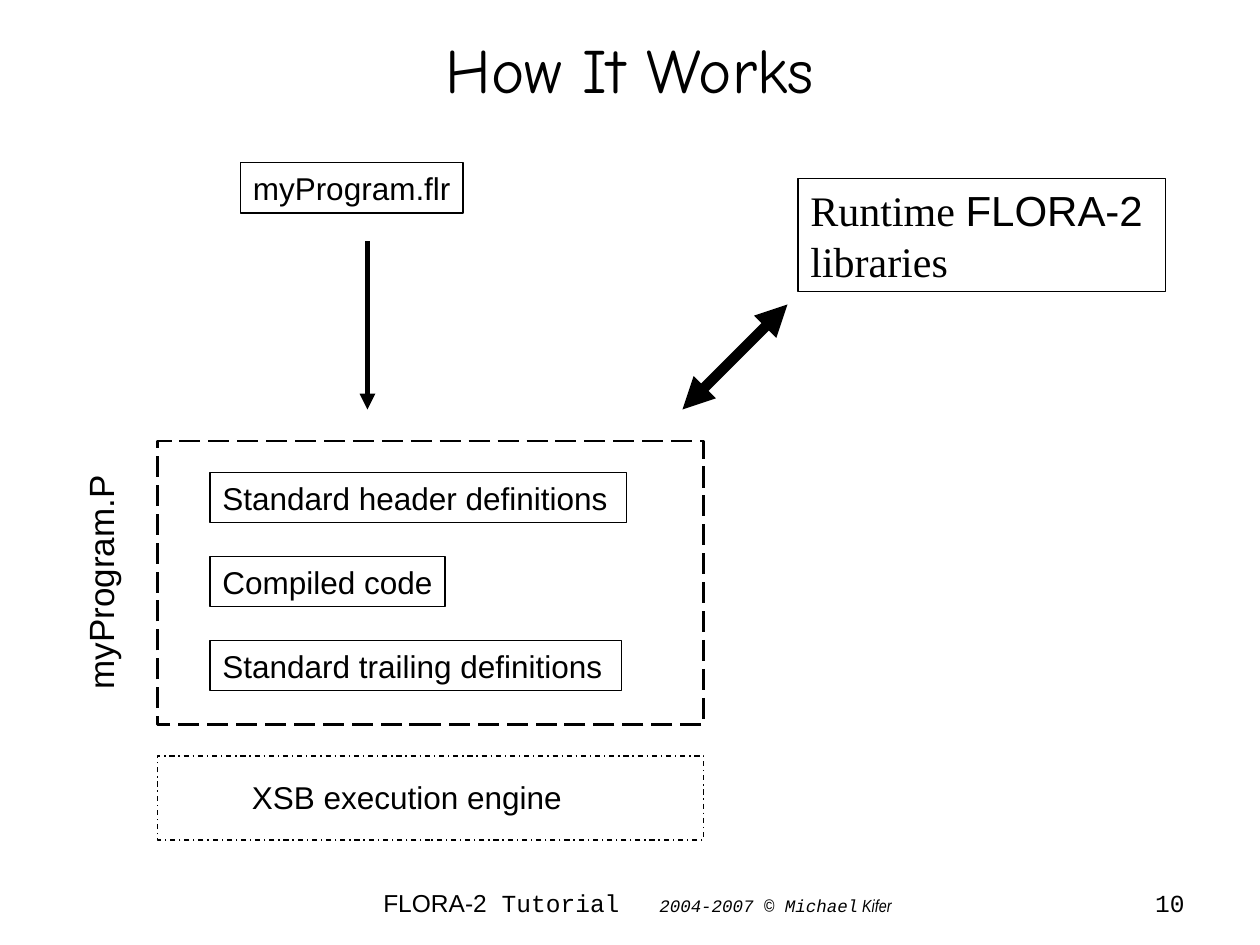
from lxml.etree import SubElement
from pptx import Presentation
from pptx.dml.color import RGBColor
from pptx.enum.dml import MSO_LINE
from pptx.enum.shapes import MSO_CONNECTOR, MSO_SHAPE
from pptx.enum.text import MSO_ANCHOR, PP_ALIGN
from pptx.oxml.ns import qn
from pptx.util import Emu, Pt

PX = 914400 // 120
INK = "000000"
MARGIN = 12


def px(length):
    """Turn whole pixels into EMU."""
    return Emu(length * PX)


def color(hex_string):
    """Return the colour for a hex string."""
    return RGBColor.from_string(hex_string)


def write(shape, runs, align=PP_ALIGN.LEFT, anchor=MSO_ANCHOR.TOP, left=MARGIN, right=MARGIN):
    """Write (text, size, font, italic) runs as one paragraph and return it."""
    frame = shape.text_frame
    frame.word_wrap = True
    frame.vertical_anchor = anchor
    frame.margin_left, frame.margin_right = px(left), px(right)
    frame.margin_top = frame.margin_bottom = px(6)
    paragraph = frame.paragraphs[0]
    paragraph.alignment = align
    for text, size, font, italic in runs:
        run = paragraph.add_run()
        run.text = text
        run.font.size = Pt(size)
        run.font.name = font
        run.font.italic = italic
        run.font.color.rgb = color(INK)
    return paragraph


def add_label(slide, bounds, runs, **layout):
    """Add a borderless text box and return it with its paragraph."""
    label = slide.shapes.add_textbox(*map(px, bounds))
    return label, write(label, runs, **layout)


def add_frame(slide, bounds, width=0.75, dash=None):
    """Add an unfilled outlined rectangle."""
    frame = slide.shapes.add_shape(MSO_SHAPE.RECTANGLE, *map(px, bounds))
    frame.shadow.inherit = False
    frame.fill.background()
    frame.line.color.rgb = color(INK)
    frame.line.width = Pt(width)
    if dash is not None:
        frame.line.dash_style = dash
    return frame


def add_arrow(slide, start, end, width, ends):
    """Add a straight arrow with triangles at the given line ends."""
    arrow = slide.shapes.add_connector(MSO_CONNECTOR.STRAIGHT, *map(px, start + end))
    arrow.line.color.rgb = color(INK)
    arrow.line.width = Pt(width)
    outline = arrow.line._get_or_add_ln()
    for line_end in ends:
        SubElement(outline, qn(f"a:{line_end}"), type="triangle")
    SubElement(arrow._element.spPr, qn("a:effectLst"))


def add_tab_stop(paragraph, position):
    """Add a left tab stop to a paragraph."""
    stops = SubElement(paragraph._p.get_or_add_pPr(), qn("a:tabLst"))
    SubElement(stops, qn("a:tab"), pos=str(px(position)), algn="l")


def add_footer(slide):
    """Add the course name, the copyright and the slide number."""
    _, credits = add_label(slide, (320, 840, 570, 42), [
        ("FLORA-2", 14, "Arial", False),
        (" Tutorial\t", 14, "Courier New", False),
        ("2004-2007 ", 10, "Courier New", True),
        ("© ", 10, "Courier New", False),
        ("Michael", 10, "Courier New", True),
        (" Kifer", 10, "Arial Narrow", True),
    ], left=45)
    add_tab_stop(credits, 263)
    add_label(slide, (910, 840, 230, 42), [("10", 14, "Courier New", False)],
              align=PP_ALIGN.RIGHT)


def main():
    """Build the slide and save it."""
    deck = Presentation()
    deck.slide_width, deck.slide_height = px(1200), px(900)
    slide = deck.slides.add_slide(deck.slide_layouts[6])

    add_label(slide, (60, 20, 1080, 90), [("How It Works", 36, "Comic Neue", False)],
              align=PP_ALIGN.CENTER, anchor=MSO_ANCHOR.MIDDLE)

    add_frame(slide, (150, 420, 520, 270), 1.5, MSO_LINE.LONG_DASH)
    add_frame(slide, (150, 720, 520, 80), 0.75, MSO_LINE.DASH_DOT)

    parts = [("Standard header definitions", 397), ("Compiled code", 224),
             ("Standard trailing definitions", 392)]
    boxes = [("myProgram.flr", (229, 155, 212, 48))]
    boxes += [(part, (200, 450 + 80 * row, width, 48))
              for row, (part, width) in enumerate(parts)]
    for text, bounds in boxes:
        write(add_frame(slide, bounds), [(text, 18, "Arial", False)], right=0)

    libraries = add_frame(slide, (760, 170, 350, 108))
    write(libraries, [("Runtime ", 24, "Times New Roman", False),
                      ("FLORA-2", 24, "Arial", False),
                      (" libraries", 24, "Times New Roman", False)])

    output_name, _ = add_label(slide, (-18, 528, 228, 53),
                               [("myProgram.P", 20, "Arial", False)], right=0)
    output_name.rotation = 270
    add_label(slide, (228, 735, 320, 48),
              [("XSB execution engine", 18, "Arial", False)], right=0)

    add_arrow(slide, (350, 230), (350, 390), 3, ["tailEnd"])
    add_arrow(slide, (750, 290), (650, 390), 6, ["headEnd", "tailEnd"])
    add_footer(slide)
    deck.save("out.pptx")


if __name__ == "__main__":
    main()
